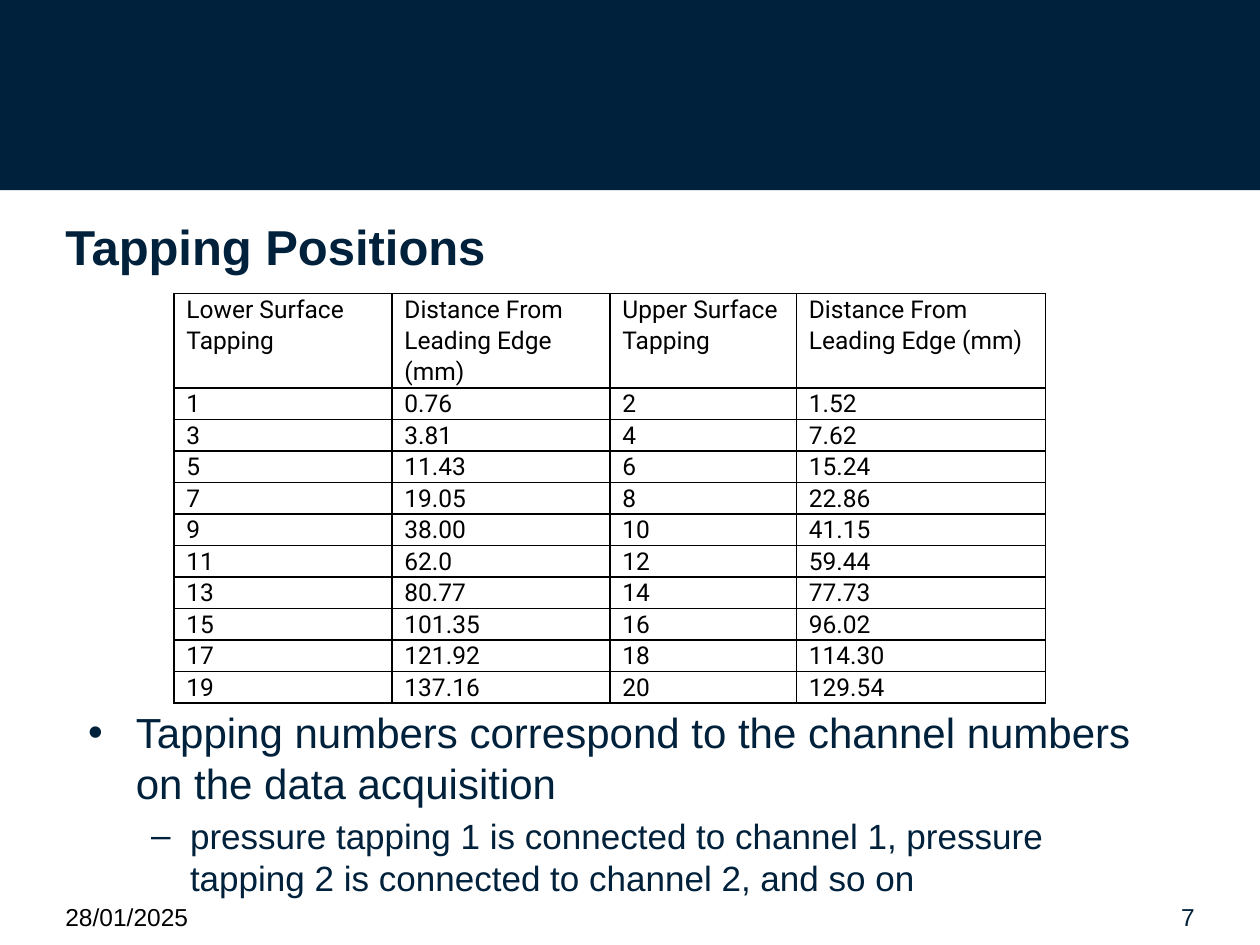
from lxml.etree import SubElement
from pptx import Presentation
from pptx.dml.color import RGBColor
from pptx.enum.shapes import MSO_SHAPE
from pptx.enum.text import MSO_ANCHOR, PP_ALIGN
from pptx.oxml.ns import qn
from pptx.util import Inches, Pt

COLORS = {"navy": "00213B", "black": "000000"}
WIDTH, HEIGHT = 10, 7.5
MARGIN = 0.42
FOOTER_TOP = 7.11
COLUMN_WIDTHS = [1.73, 1.73, 1.48, 1.98]
HEADER_HEIGHT, TABLE_HEIGHT = 0.75, 3.23
HEADINGS = ["Lower Surface Tapping", "Distance From Leading Edge (mm)",
            "Upper Surface Tapping", "Distance From Leading Edge (mm)"]
# Distances for the odd (lower) and even (upper) tappings
LOWER = ["0.76", "3.81", "11.43", "19.05", "38.00",
         "62.0", "80.77", "101.35", "121.92", "137.16"]
UPPER = ["1.52", "7.62", "15.24", "22.86", "41.15",
         "59.44", "77.73", "96.02", "114.30", "129.54"]


def color(name):
    return RGBColor.from_string(COLORS[name])


def write(para, text, size=14, font="Arial", ink="navy", bold=False,
          align=None, line=None, before=None, after=None):
    """Put one formatted span of text into a paragraph."""
    span = para.add_run()
    span.text = text
    span.font.size = Pt(size)
    span.font.name = font
    span.font.bold = bold
    span.font.color.rgb = color(ink)
    para.alignment = align
    para.line_spacing = line
    para.space_before = None if before is None else Pt(before)
    para.space_after = None if after is None else Pt(after)


def add_box(page, left, top, width, height, anchor=MSO_ANCHOR.TOP):
    box = page.shapes.add_textbox(*map(Inches, (left, top, width, height)))
    box.text_frame.word_wrap = True
    box.text_frame.vertical_anchor = anchor
    return box.text_frame


def add_band(page, height):
    band = page.shapes.add_shape(MSO_SHAPE.RECTANGLE, 0, 0,
                                 Inches(WIDTH), Inches(height))
    band.shadow.inherit = False
    band.fill.solid()
    band.fill.fore_color.rgb = color("navy")
    band.line.fill.background()


def set_bullet(para, sign, left, hanging):
    properties = para._p.get_or_add_pPr()
    properties.set("marL", str(Inches(left)))
    properties.set("indent", str(-Inches(hanging)))
    SubElement(properties, qn("a:buFont"), typeface="Arial")
    SubElement(properties, qn("a:buChar"), char=sign)


def set_borders(cell):
    properties = cell._tc.get_or_add_tcPr()
    for position, side in enumerate(("a:lnL", "a:lnR", "a:lnT", "a:lnB")):
        border = SubElement(properties, qn(side), w=str(Pt(1)))
        fill = SubElement(border, qn("a:solidFill"))
        SubElement(fill, qn("a:srgbClr"), val=COLORS["black"])
        properties.insert(position, border)


def add_data_table(page, rows, left, top):
    frame = page.shapes.add_table(
        len(rows), len(COLUMN_WIDTHS), Inches(left), Inches(top),
        Inches(sum(COLUMN_WIDTHS)), Inches(TABLE_HEIGHT))
    table = frame.table
    table.first_row = table.horz_banding = False
    for column, width in zip(table.columns, COLUMN_WIDTHS):
        column.width = Inches(width)
    body_height = (TABLE_HEIGHT - HEADER_HEIGHT) / (len(rows) - 1)
    for index, values in enumerate(rows):
        table.rows[index].height = Inches(body_height if index else HEADER_HEIGHT)
        for cell, value in zip(table.rows[index].cells, values):
            cell.margin_left = cell.margin_right = Inches(0.1)
            cell.margin_top = cell.margin_bottom = 0
            cell.fill.background()
            set_borders(cell)
            write(cell.text_frame.paragraphs[0], value, font="Roboto",
                  ink="black", line=1.07, after=8)


def add_bullets(page):
    frame = add_box(page, 0.6, 5.56, 8.48, 1.57)
    first, second = frame.paragraphs[0], frame.add_paragraph()
    second.level = 1
    write(first, "Tapping numbers correspond to the channel numbers "
          "on the data acquisition", size=24, before=24 * 0.2)
    set_bullet(first, "•", 0.38, 0.38)
    write(second, "pressure tapping 1 is connected to channel 1, pressure "
          "tapping 2 is connected to channel 2, and so on",
          size=20, before=20 * 0.2)
    set_bullet(second, "–", 0.81, 0.31)


def main():
    deck = Presentation()
    deck.slide_width, deck.slide_height = Inches(WIDTH), Inches(HEIGHT)
    page = deck.slides.add_slide(deck.slide_layouts[6])

    # Top band and title
    add_band(page, 1.51)
    title = add_box(page, MARGIN, 1.58, WIDTH - 2 * MARGIN, 0.75,
                    MSO_ANCHOR.MIDDLE)
    write(title.paragraphs[0], "Tapping Positions", size=28, bold=True)

    # Footer: date and page number
    date = add_box(page, MARGIN, FOOTER_TOP, 1.28, 0.5)
    write(date.paragraphs[0], "28/01/2025", ink="black")
    number = add_box(page, WIDTH - MARGIN - 0.72, FOOTER_TOP, 0.72, 0.5)
    write(number.paragraphs[0], "7", align=PP_ALIGN.RIGHT)

    # Tapping table, numbered in odd and even pairs
    rows = [HEADINGS]
    for pair, (lower, upper) in enumerate(zip(LOWER, UPPER)):
        rows.append([str(2 * pair + 1), lower, str(2 * pair + 2), upper])
    add_data_table(page, rows, 1.38, 2.33)

    # Explanation below the table
    add_bullets(page)
    deck.save("out.pptx")


if __name__ == "__main__":
    main()
